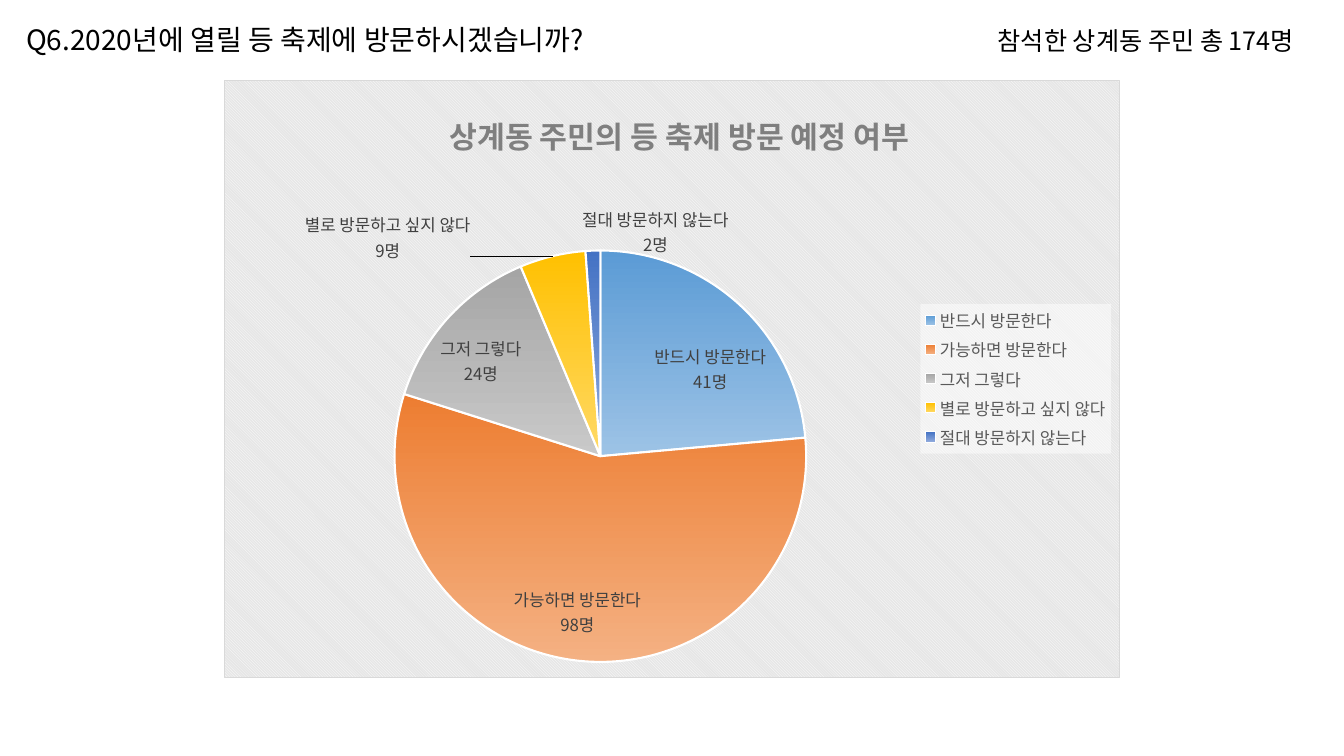
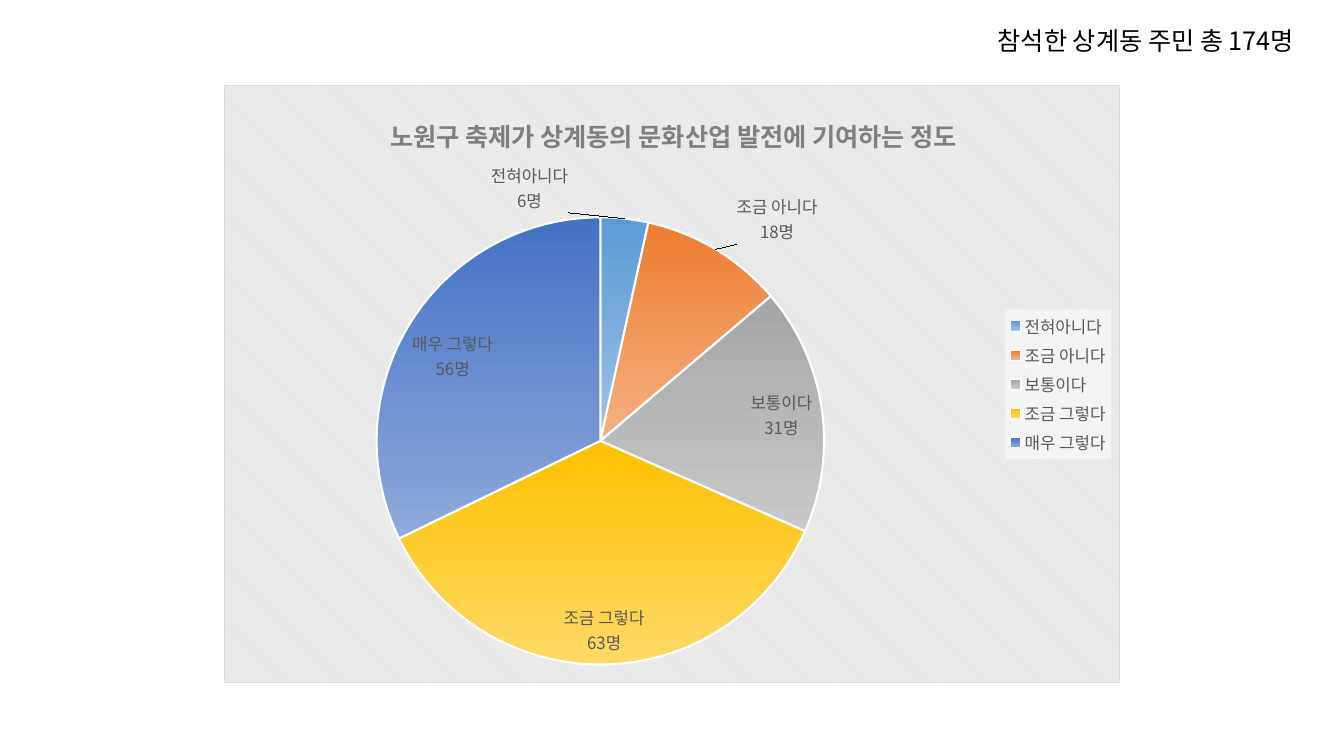
from copy import deepcopy

from pptx import Presentation
from pptx import util as u
from pptx.chart.data import CategoryChartData
from pptx.dml.color import RGBColor
from pptx.enum import chart as ch, text
from pptx.oxml import ns, parse_xml

FONT = "Noto Sans CJK KR"
BLACK, WHITE, TITLE_GREY, LEGEND_GREY = "000000", "FFFFFF", "7F7F7F", "595959"
STRIPE, BORDER = "E6E6E6", "D9D9D9"
GRADIENTS = [("5B9BD5", "9DC3E6"), ("ED7D31", "F4B183"), ("A5A5A5", "C9C9C9"),
             ("FFC000", "FFD966"), ("4472C4", "8FAADC")]
ATTENDEES = "참석한 상계동 주민 총 174명"


def rgb(value):
    return RGBColor.from_string(value)


def xml(body):
    """Parse one element, declaring the namespaces on its first tag."""
    tag, rest = body.split(">", 1)
    close = "/" if tag.endswith("/") else ""
    return parse_xml(f"{tag.rstrip('/')} {ns.nsdecls('a', 'c')}{close}>{rest}")


def layout(target="", **values):
    """Manual chart layout; positions and sizes are fractions of the chart."""
    parts = f'<c:layoutTarget val="{target}"/>' if target else ""
    if target != "":
        parts += '<c:xMode val="edge"/><c:yMode val="edge"/>'
    parts += "".join(f'<c:{k} val="{v}"/>' for k, v in values.items())
    return xml(f"<c:layout><c:manualLayout>{parts}</c:manualLayout></c:layout>")


class Deck:
    def __init__(self):
        self.prs = Presentation()
        self.prs.slide_width, self.prs.slide_height = u.Pt(960), u.Pt(540)
        self.s = None

    def slide(self, title=None):
        """Start a slide; with a title it uses the title-only layout."""
        self.s = self.prs.slides.add_slide(self.prs.slide_layouts[5 if title else 6])
        if title:
            self.fill_text(self.s.shapes.title, (11.5, 12.2, 451, 31.7), title, 20)

    def style(self, font, size, color, bold=None):
        font.size, font.bold, font.name = u.Pt(size), bold, FONT
        font.color.rgb = rgb(color)

    def east_asian(self, root):
        """Give every run that names a Latin font the same Korean font."""
        for latin in list(root.iter(ns.qn("a:latin"))):
            latin.addnext(xml(f'<a:ea typeface="{FONT}"/>'))

    def fill_text(self, sp, box, words, size):
        sp.left, sp.top, sp.width, sp.height = map(u.Pt, box)
        tf = sp.text_frame
        tf.word_wrap = False
        tf.auto_size = text.MSO_AUTO_SIZE.SHAPE_TO_FIT_TEXT
        tf.vertical_anchor = text.MSO_ANCHOR.TOP
        p = tf.paragraphs[0]
        p.alignment = text.PP_ALIGN.LEFT
        r = p.add_run()
        r.text = words
        self.style(r.font, size, BLACK)
        self.east_asian(sp.element)

    def note(self, words):
        box = (705.6, 14.4, 252, 28.8)
        self.fill_text(self.s.shapes.add_textbox(*map(u.Pt, box)), box, words, 18)

    def pie(self, top, answers, title, title_size, title_x, plot, label_color, moved):
        """Pie of answers; moved maps a point to its label's (x, y) shift."""
        data = CategoryChartData()
        data.categories = list(answers)
        data.add_series("Series 1", list(answers.values()))
        chart = self.s.shapes.add_chart(
            ch.XL_CHART_TYPE.PIE, u.Pt(160), u.Pt(top), u.Pt(640), u.Pt(427), data).chart
        self.style(chart.font, 10, BLACK)
        root = chart.element

        # Title
        chart.has_title = True
        p = chart.chart_title.text_frame.paragraphs[0]
        r = p.add_run()
        r.text = title
        self.style(r.font, title_size, TITLE_GREY, True)
        self.place(root.find(".//" + ns.qn("c:title")),
                   layout("inner", x=title_x, y=0.04), 1)
        for target in root.xpath(".//c:title//c:layoutTarget"):
            target.getparent().remove(target)

        # Striped background with a thin border
        frame = root.find(ns.qn("c:chart"))
        frame.addprevious(xml('<c:roundedCorners val="0"/>'))
        frame.addnext(xml(
            f'<c:spPr><a:pattFill prst="dkDnDiag"><a:fgClr><a:srgbClr val="{WHITE}"/></a:fgClr>'
            f'<a:bgClr><a:srgbClr val="{STRIPE}"/></a:bgClr></a:pattFill><a:ln w="9525">'
            f'<a:solidFill><a:srgbClr val="{BORDER}"/></a:solidFill></a:ln></c:spPr>'))

        # Legend on a half-transparent panel
        chart.has_legend = True
        chart.legend.position = ch.XL_LEGEND_POSITION.RIGHT
        chart.legend.include_in_layout = False
        self.style(chart.legend.font, 12, LEGEND_GREY)
        root.find(".//" + ns.qn("c:legend")).find(ns.qn("c:txPr")).addprevious(xml(
            f'<c:spPr><a:solidFill><a:srgbClr val="{WHITE}"><a:alpha val="50000"/>'
            '</a:srgbClr></a:solidFill></c:spPr>'))

        # Slices
        x, y, w, h = plot
        self.place(root.find(".//" + ns.qn("c:plotArea")),
                   layout("inner", x=x, y=y, w=w, h=h), 0)
        chart.plots[0].vary_by_categories = True
        series = chart.plots[0].series[0]
        for i, colors in enumerate(GRADIENTS):
            fmt = series.points[i].format
            fmt.fill.gradient()
            fmt.fill.gradient_angle = 270
            for stop, color in zip(fmt.fill.gradient_stops, colors):
                stop.color.rgb = rgb(color)
            fmt.line.color.rgb = rgb(WHITE)
            fmt.line.width = u.Pt(1.5)

        self.labels(series, label_color, moved)
        self.east_asian(root)

    def place(self, parent, element, index):
        for old in parent.findall(ns.qn("c:layout")):
            parent.remove(old)
        parent.insert(index, element)

    def labels(self, series, color, moved):
        labels = series.data_labels
        labels.show_value = labels.show_category_name = True
        labels.show_percentage = False
        labels.number_format, labels.number_format_is_linked = '0"명"', False
        labels.position = ch.XL_LABEL_POSITION.BEST_FIT
        self.style(labels.font, 12, color)
        shared = series.data_labels._element
        shared.find(ns.qn("c:showBubbleSize")).addnext(
            xml("<c:separator>\n</c:separator>"))

        # Labels set apart from their slices
        common = [e for e in shared if e.tag != ns.qn("c:showLeaderLines")]
        for n, (i, (dx, dy)) in enumerate(sorted(moved.items())):
            label = xml(f'<c:dLbl><c:idx val="{i}"/></c:dLbl>')
            label.append(layout(x=dx, y=dy))
            for e in common:
                label.append(deepcopy(e))
            label.find(ns.qn("c:dLblPos")).set("val", "outEnd")
            shared.insert(n, label)


def main():
    deck = Deck()

    # Plans to visit
    deck.slide("Q6.2020년에 열릴 등 축제에 방문하시겠습니까?")
    deck.pie(57, {"반드시 방문한다": 41, "가능하면 방문한다": 98, "그저 그렇다": 24,
                  "별로 방문하고 싶지 않다": 9, "절대 방문하지 않는다": 2},
             "상계동 주민의 등 축제 방문 예정 여부", 21.6, 0.245,
             (0.19, 0.28, 0.46, 0.7), "404040", {3: (-0.09, 0.02), 4: (0.07, 0.02)})
    deck.note(ATTENDEES)

    # Contribution to local culture
    deck.slide()
    deck.pie(61, {"전혀아니다": 6, "조금 아니다": 18, "보통이다": 31,
                  "조금 그렇다": 63, "매우 그렇다": 56},
             "노원구 축제가 상계동의 문화산업 발전에 기여하는 정도", 18, 0.18,
             (0.17, 0.22, 0.5, 0.75), LEGEND_GREY, {0: (-0.15, 0), 1: (0.02, 0)})
    deck.note(ATTENDEES)

    deck.prs.save("out.pptx")


if __name__ == "__main__":
    main()
